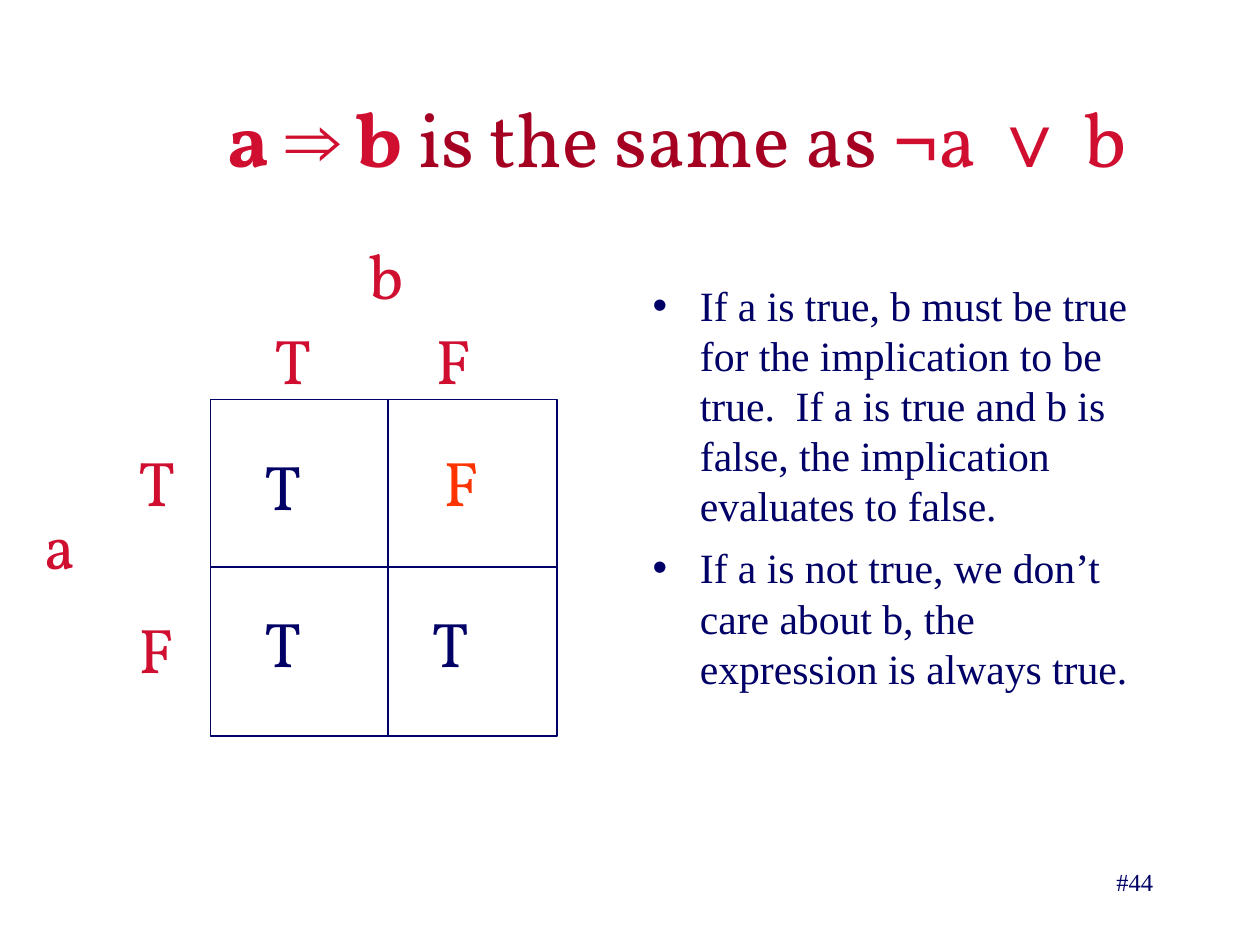
from typing import NamedTuple

from lxml.etree import SubElement
from pptx import Presentation
from pptx.dml.color import RGBColor
from pptx.enum.shapes import MSO_CONNECTOR as Conn, MSO_SHAPE as Shape
from pptx.enum.text import MSO_ANCHOR as Anchor, MSO_AUTO_SIZE as Fit, PP_ALIGN as Align
from pptx.oxml.ns import qn
from pptx.util import Inches, Pt

NAVY, RED, DARK_RED, ORANGE, WHITE = "000066", "CF0E30", "A50021", "FF3300", "FFFFFF"
SERIF, DISPLAY, SYMBOL = "Times New Roman", "Vollkorn", "Arial"
LEFT, TOP, WIDTH, HEIGHT = 1.67, 3.17, 2.75, 2.67
MID_X, MID_Y = 3.08, 4.5


class Label(NamedTuple):
    text: str
    x: float
    y: float
    w: float
    color: str = RED


class Piece(NamedTuple):
    text: str
    font: str = DISPLAY
    color: str = RED
    bold: bool = False


AXIS_LABELS = [
    Label("a", 0.25, 3.97, 0.75),
    Label("T", 1, 3.47, 0.58),
    Label("F", 1, 4.8, 0.58),
    Label("T", 2.08, 2.5, 0.58),
    Label("F", 3.36, 2.5, 0.58),
    Label("b", 2.83, 1.83, 0.67),
]
CELL_VALUES = [
    Label("T", 2, 3.5, 1.08, NAVY),
    Label("T", 2, 4.75, 1.08, NAVY),
    Label("T", 3.33, 4.75, 1.08, NAVY),
    Label("F", 3.42, 3.47, 1, ORANGE),
]
TITLE = [
    Piece("a ", bold=True),
    Piece("⇒", SYMBOL, bold=True),
    Piece(" b", bold=True),
    Piece(" is the same as ", color=DARK_RED),
    Piece("¬", SYMBOL),
    Piece("a "),
    Piece("∨", SYMBOL),
    Piece(" b"),
]
BULLETS = [
    "If a is true, b must be true for the implication to be true.  "
    "If a is true and b is false, the implication evaluates to false.",
    "If a is not true, we don’t care about b, the expression is always true.",
]


def rgb(color: str) -> RGBColor:
    return RGBColor.from_string(color)


def add_text(p, text: str, *, size: float, font: str = DISPLAY,
             color: str = RED, bold: bool = False) -> None:
    r = p.add_run()
    r.text = text
    r.font.size = Pt(size)
    r.font.name = font
    r.font.bold = bold
    r.font.color.rgb = rgb(color)


def place(sp, x: float, y: float, w: float, h: float) -> None:
    sp.left, sp.top, sp.width, sp.height = map(Inches, (x, y, w, h))


def add_label(s, label: Label) -> None:
    sp = s.shapes.add_textbox(*map(Inches, (label.x, label.y, label.w, 0.7)))
    tf = sp.text_frame
    tf.word_wrap = True
    tf.auto_size = Fit.SHAPE_TO_FIT_TEXT
    add_text(tf.paragraphs[0], label.text, size=36, color=label.color)


def add_rule(s, x1: float, y1: float, x2: float, y2: float) -> None:
    c = s.shapes.add_connector(Conn.STRAIGHT, *map(Inches, (x1, y1, x2, y2)))
    c.line.color.rgb = rgb(NAVY)
    c.line.width = Pt(1)
    SubElement(c._element.spPr, qn("a:effectLst"))


def add_grid(s) -> None:
    sp = s.shapes.add_shape(Shape.RECTANGLE, *map(Inches, (LEFT, TOP, WIDTH, HEIGHT)))
    sp.shadow.inherit = False
    sp.fill.solid()
    sp.fill.fore_color.rgb = rgb(WHITE)
    sp.line.color.rgb = rgb(NAVY)
    sp.line.width = Pt(1)
    add_rule(s, LEFT, MID_Y, LEFT + WIDTH, MID_Y)
    add_rule(s, MID_X, TOP, MID_X, TOP + HEIGHT)


def fill_title(sp) -> None:
    place(sp, 1.25, 0.75, 8.25, 0.67)
    tf = sp.text_frame
    tf.auto_size = Fit.NONE
    tf.vertical_anchor = Anchor.MIDDLE
    p = tf.paragraphs[0]
    p.alignment = Align.CENTER
    for piece in TITLE:
        add_text(p, piece.text, size=44, font=piece.font, color=piece.color, bold=piece.bold)


def fill_body(sp) -> None:
    place(sp, 5.08, 2.17, 4.17, 4.5)
    tf = sp.text_frame
    tf.auto_size = Fit.NONE
    for i, text in enumerate(BULLETS):
        p = tf.add_paragraph() if i else tf.paragraphs[0]
        p.space_before = Pt(7)
        p.line_spacing = Pt(28.6)
        add_text(p, text, size=23.8, font=SERIF, color=NAVY)


def add_page_number(s) -> None:
    sp = s.shapes.add_textbox(*map(Inches, (7.17, 6.83, 2.08, 0.5)))
    tf = sp.text_frame
    tf.word_wrap = True
    p = tf.paragraphs[0]
    p.alignment = Align.RIGHT
    add_text(p, "#44", size=14, font=SERIF, color=NAVY)


def main() -> None:
    prs = Presentation()
    prs.slide_width, prs.slide_height = Inches(10), Inches(7.5)
    s = prs.slides.add_slide(prs.slide_layouts[1])
    fill_title(s.shapes.title)
    fill_body(s.placeholders[1])
    add_page_number(s)
    add_grid(s)
    for label in AXIS_LABELS + CELL_VALUES:
        add_label(s, label)
    prs.save("out.pptx")


if __name__ == "__main__":
    main()
